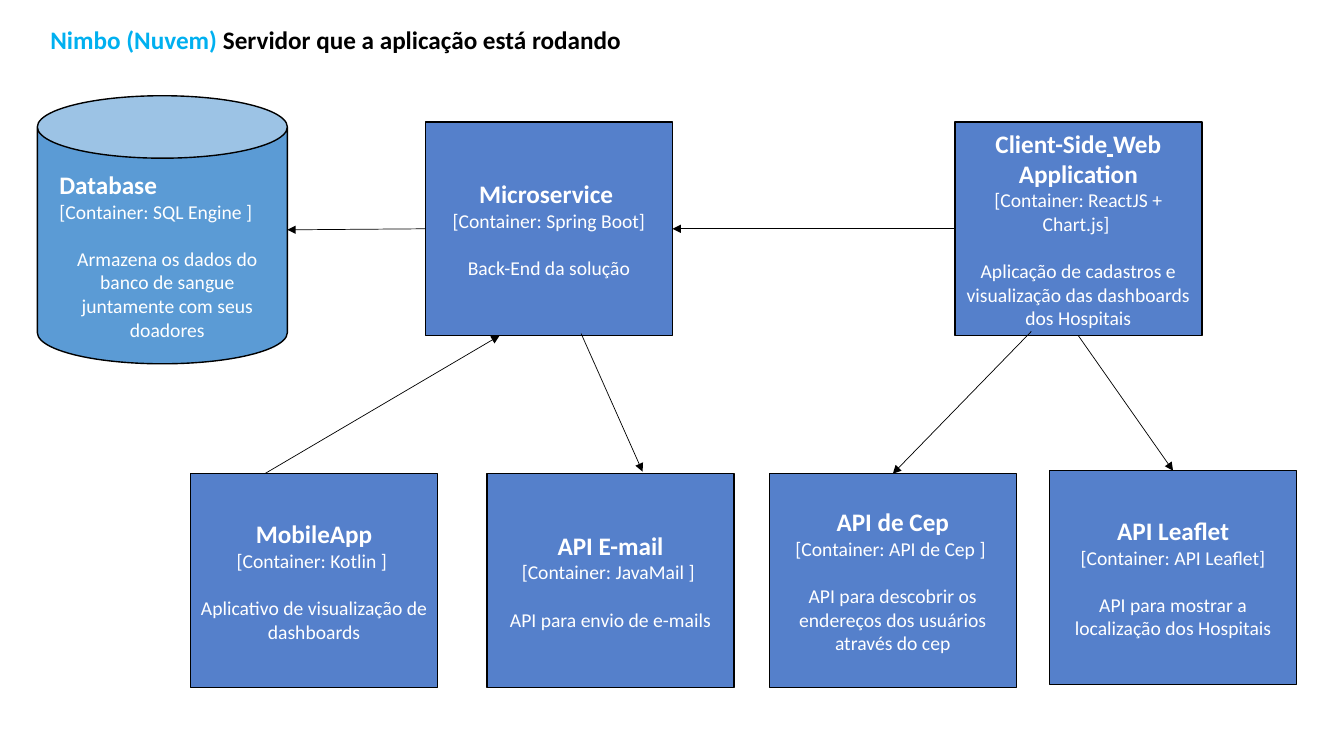
"""Container diagram of a cloud application and the services around it."""
from pptx import Presentation
from pptx.dml.color import RGBColor as Rgb
from pptx.enum.shapes import MSO_CONNECTOR as Link, MSO_SHAPE as Kind
from pptx.enum.text import MSO_ANCHOR as Anchor, MSO_AUTO_SIZE as Fit, PP_ALIGN as Align
from pptx.oxml.ns import qn
from pptx.util import Inches, Pt
from lxml.etree import SubElement as Sub

HUES = {"box": "5580CB", "can": "5B9BD5", "cloud": "00B0F0", "ink": "000000", "text": "FFFFFF"}
FONT, BIG, MID = "Calibri", 18, 14
WIDE, TALL = 2.45, 2.12
UPPER, LOWER = 1.21, 4.7

TITLE = [("Nimbo (Nuvem) ", "cloud"), ("Servidor que a aplicação está rodando", "ink")]
STORE = (["Database"], "[Container: SQL Engine ]",
         "Armazena os dados do banco de sangue juntamente com seus doadores")
BOXES = {
    "micro": (4.22, UPPER, ["Microservice\u00a0"], "[Container: Spring Boot]",
              "Back-End da solução"),
    "client": (9.47, UPPER, ["Client-Side", " ", "Web", " ", "Application"],
               "[Container: ReactJS + Chart.js]\u00a0",
               "Aplicação de cadastros e visualização das dashboards dos Hospitais"),
    "mobile": (1.89, LOWER, ["MobileApp"], "[Container: Kotlin ]\u00a0",
               "Aplicativo de visualização de dashboards"),
    "mail": (4.83, LOWER, ["API E-mail"], "[Container: JavaMail ]\u00a0",
             "API para envio de e-mails"),
    "zip": (7.63, LOWER, ["API de Cep"], "[Container: API de Cep ]\u00a0",
            "API para descobrir os endereços dos usuários através do cep"),
    "map": (10.41, 4.67, ["API Leaflet"], "[Container: API Leaflet]",
            "API para mostrar a localização dos\u00a0Hospitais"),
}
ARROWS = [
    (("client", 0, .5), ("micro", 1, .5)),
    (("micro", 0, .5), ("store", 1, .5)),
    (("client", .5, 1), ("map", .5, 0)),
    (("mobile", .3, 0), ("micro", .3, 1)),
    (("micro", .63, .99), ("mail", .63, -.01)),
    (("client", .31, .98), ("zip", .5, 0)),
]


def tint(hue):
    return Rgb.from_string(HUES[hue])


def write(para, text, size, hue="text", bold=False):
    run = para.add_run()
    run.text = text
    font = run.font
    font.name, font.size, font.bold = FONT, Pt(size), bold
    font.color.rgb = tint(hue)
    return font


def fill(frame, head, tech, note, side=Align.CENTER):
    frame.word_wrap = True
    para = frame.paragraphs[0]
    para.alignment = side
    for part in head:
        write(para, part, BIG, bold=True).underline = part == " "
    para = frame.add_paragraph()
    para.alignment = side
    write(para, tech, MID)
    para = frame.add_paragraph()
    para.alignment, para.space_before = Align.CENTER, Pt(17)
    write(para, note, MID)


def draw(kind, area, hue):
    shape = slide.shapes.add_shape(kind, *map(Inches, area))
    shape.shadow.inherit = False
    shape.fill.solid()
    shape.fill.fore_color.rgb = tint(hue)
    shape.line.color.rgb, shape.line.width = tint("ink"), Pt(1)
    return shape


def spot(name, across, down):
    shape = nodes[name]
    return int(shape.left + across * shape.width), int(shape.top + down * shape.height)


deck = Presentation()
deck.slide_width, deck.slide_height = Inches(13.33), Inches(7.5)
slide = deck.slides.add_slide(deck.slide_layouts[5])

title = slide.shapes.title
title.left, title.top, title.width, title.height = map(Inches, (.4, .19, 6.98, .4))
frame = title.text_frame
frame.auto_size, frame.vertical_anchor, frame.word_wrap = Fit.NONE, Anchor.TOP, True
frame.paragraphs[0].alignment = Align.LEFT
for text, hue in TITLE:
    write(frame.paragraphs[0], text, BIG, hue, True)

nodes = {"store": draw(Kind.CAN, (.37, .95, 2.48, 2.66), "can")}
label = slide.shapes.add_textbox(*map(Inches, (.49, 1.63, 2.34, 1.82)))
fill(label.text_frame, *STORE, side=Align.LEFT)

for name, (left, top, *words) in BOXES.items():
    nodes[name] = draw(Kind.RECTANGLE, (left, top, WIDE, TALL), "box")
    nodes[name].text_frame.vertical_anchor = Anchor.MIDDLE
    fill(nodes[name].text_frame, *words)

for start, end in ARROWS:
    arrow = slide.shapes.add_connector(Link.STRAIGHT, *spot(*start), *spot(*end))
    arrow.line.color.rgb, arrow.line.width = tint("ink"), Pt(.5)
    Sub(arrow.line._get_or_add_ln(), qn("a:tailEnd"), type="triangle")
    Sub(arrow._element.spPr, qn("a:effectLst"))

deck.save("out.pptx")
